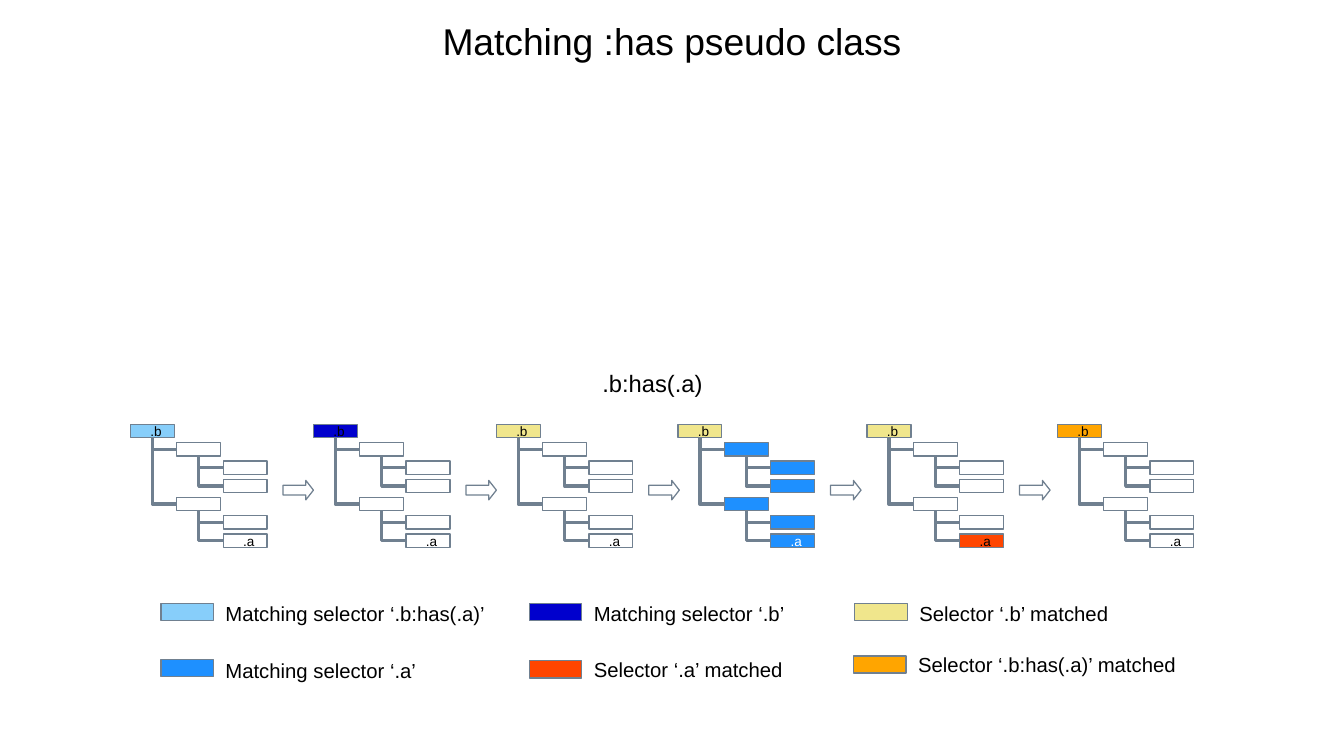
"""Build the slide that shows how the :has pseudo class is matched."""
from dataclasses import dataclass

from lxml.etree import SubElement
from pptx import Presentation
from pptx.dml.color import RGBColor
from pptx.enum.shapes import MSO_CONNECTOR, MSO_SHAPE
from pptx.enum.text import MSO_ANCHOR, PP_ALIGN
from pptx.oxml.ns import qn
from pptx.shapes.autoshape import Shape
from pptx.slide import Slide
from pptx.util import Inches, Pt

BLACK, WHITE, OUTLINE = "000000", "FFFFFF", "708090"
MATCHING_HAS, MATCHING_B, MATCHING_A = "87CEFA", "0000CD", "1E90FF"
MATCHED_B, MATCHED_A, MATCHED_HAS = "F0E68C", "FF4500", "FFA500"

TREE_TOP, ROW_STEP, LEVEL_STEP = 3.48, 0.15, 0.38
NODE_WIDTH, NODE_HEIGHT = 0.36, 0.11
NODE_LEVELS = (0, 1, 2, 2, 1, 2, 2)
NODE_LINKS = ((0, 1), (0, 4), (1, 2), (1, 3), (4, 5), (4, 6))
ARROW_OFFSET, ARROW_TOP = 1.25, 3.94


@dataclass(frozen=True)
class TreeState:
    left: float
    root_fill: str
    inner_fill: str = WHITE
    leaf_fill: str = WHITE
    leaf_color: str = BLACK


@dataclass(frozen=True)
class LegendEntry:
    left: float
    top: float
    fill: str
    label: str
    label_top: float
    label_width: float


TREES = (
    TreeState(1.07, MATCHING_HAS),
    TreeState(2.57, MATCHING_B),
    TreeState(4.07, MATCHED_B),
    TreeState(5.56, MATCHED_B, MATCHING_A, MATCHING_A, WHITE),
    TreeState(7.11, MATCHED_B, leaf_fill=MATCHED_A),
    TreeState(8.67, MATCHED_HAS),
)

LEGEND = (
    LegendEntry(1.32, 4.95, MATCHING_HAS, "Matching selector ‘.b:has(.a)’", 4.88, 2.57),
    LegendEntry(4.34, 4.95, MATCHING_B, "Matching selector ‘.b’", 4.88, 2.09),
    LegendEntry(7.01, 4.95, MATCHED_B, "Selector ‘.b’ matched", 4.88, 1.87),
    LegendEntry(1.32, 5.41, MATCHING_A, "Matching selector ‘.a’", 5.35, 1.88),
    LegendEntry(4.34, 5.42, MATCHED_A, "Selector ‘.a’ matched", 5.34, 1.79),
    LegendEntry(7.0, 5.38, MATCHED_HAS, "Selector ‘.b:has(.a)’ matched", 5.3, 2.68),
)


def rgb(color: str) -> RGBColor:
    return RGBColor.from_string(color)


def write_text(shape: Shape, text: str, size: int, color: str = BLACK,
               alignment: PP_ALIGN = PP_ALIGN.LEFT, wrap: bool = True) -> None:
    shape.text_frame.word_wrap = wrap
    paragraph = shape.text_frame.paragraphs[0]
    paragraph.text = text
    paragraph.alignment = alignment
    paragraph.font.name = "Arial"
    paragraph.font.size = Pt(size)
    paragraph.font.color.rgb = rgb(color)


def add_label(slide: Slide, left: float, top: float, width: float, height: float,
              text: str, size: int, alignment: PP_ALIGN = PP_ALIGN.LEFT) -> None:
    label = slide.shapes.add_textbox(Inches(left), Inches(top), Inches(width), Inches(height))
    write_text(label, text, size, alignment=alignment)


def add_box(slide: Slide, left: float, top: float, width: float, height: float,
            fill: str, preset: MSO_SHAPE = MSO_SHAPE.RECTANGLE) -> Shape:
    shape = slide.shapes.add_shape(
        preset, Inches(left), Inches(top), Inches(width), Inches(height))
    shape.shadow.inherit = False
    shape.fill.solid()
    shape.fill.fore_color.rgb = rgb(fill)
    shape.line.color.rgb = rgb(OUTLINE)
    shape.line.width = Pt(0)
    return shape


def label_node(node: Shape, text: str, color: str = BLACK) -> None:
    write_text(node, text, 8, color, PP_ALIGN.CENTER, wrap=False)
    node.text_frame.vertical_anchor = MSO_ANCHOR.MIDDLE
    properties = node.text_frame.paragraphs[0]._p.get_or_add_pPr()
    properties.set("marL", str(Inches(0.06)))
    properties.set("indent", "0")


def add_branch(slide: Slide, parent: Shape, child: Shape) -> None:
    """Draw a branch down from the parent and right to the child."""
    start_x, start_y = parent.left + parent.width // 2, parent.top + parent.height
    end_x, end_y = child.left, child.top + child.height // 2
    branch = slide.shapes.add_connector(MSO_CONNECTOR.ELBOW, start_x, start_y, end_x, end_y)
    branch.begin_connect(parent, 2)
    branch.end_connect(child, 1)
    run, drop = end_x - start_x, end_y - start_y
    branch.left = (start_x + end_x - drop) // 2
    branch.top = (start_y + end_y - run) // 2
    branch.width, branch.height = drop, run
    branch.line.color.rgb = rgb(OUTLINE)
    branch.line.width = Pt(0)
    properties = branch._element.spPr
    transform = properties.find(qn("a:xfrm"))
    transform.set("rot", "16200000")
    transform.set("flipH", "1")
    properties.find(qn("a:prstGeom")).set("prst", "bentConnector2")
    SubElement(properties, qn("a:effectLst"))


def add_tree(slide: Slide, tree: TreeState) -> None:
    fills = [tree.root_fill, *[tree.inner_fill] * 5, tree.leaf_fill]
    nodes = [
        add_box(slide, tree.left + level * LEVEL_STEP, TREE_TOP + row * ROW_STEP,
                NODE_WIDTH, NODE_HEIGHT, fill)
        for row, (level, fill) in enumerate(zip(NODE_LEVELS, fills))
    ]
    label_node(nodes[0], ".b")
    label_node(nodes[-1], ".a", tree.leaf_color)
    for parent, child in NODE_LINKS:
        add_branch(slide, nodes[parent], nodes[child])


def add_step_arrow(slide: Slide, tree: TreeState) -> None:
    arrow = add_box(slide, tree.left + ARROW_OFFSET, ARROW_TOP, 0.25, 0.16,
                    WHITE, MSO_SHAPE.RIGHT_ARROW)
    arrow.adjustments[0] = 0.5
    arrow.adjustments[1] = 0.39


def add_legend_entry(slide: Slide, entry: LegendEntry) -> None:
    add_box(slide, entry.left, entry.top, 0.43, 0.14, entry.fill)
    add_label(slide, entry.left + 0.43, entry.label_top, entry.label_width, 0.29,
              entry.label, 12)


def main() -> None:
    presentation = Presentation()
    presentation.slide_width = Inches(11.02)
    presentation.slide_height = Inches(6.2)
    slide = presentation.slides.add_slide(presentation.slide_layouts[6])

    add_label(slide, 0, 0.1, 11.02, 1.09, "Matching :has pseudo class", 22, PP_ALIGN.CENTER)
    selector = add_box(slide, 4.84, 2.99, 1.12, 0.31, WHITE)
    selector.line.fill.background()
    write_text(selector, ".b:has(.a)", 14, wrap=False)
    selector.text_frame.vertical_anchor = MSO_ANCHOR.MIDDLE

    for tree in TREES:
        add_tree(slide, tree)
    for tree in TREES[:-1]:
        add_step_arrow(slide, tree)
    for entry in LEGEND:
        add_legend_entry(slide, entry)
    presentation.save("out.pptx")


if __name__ == "__main__":
    main()
